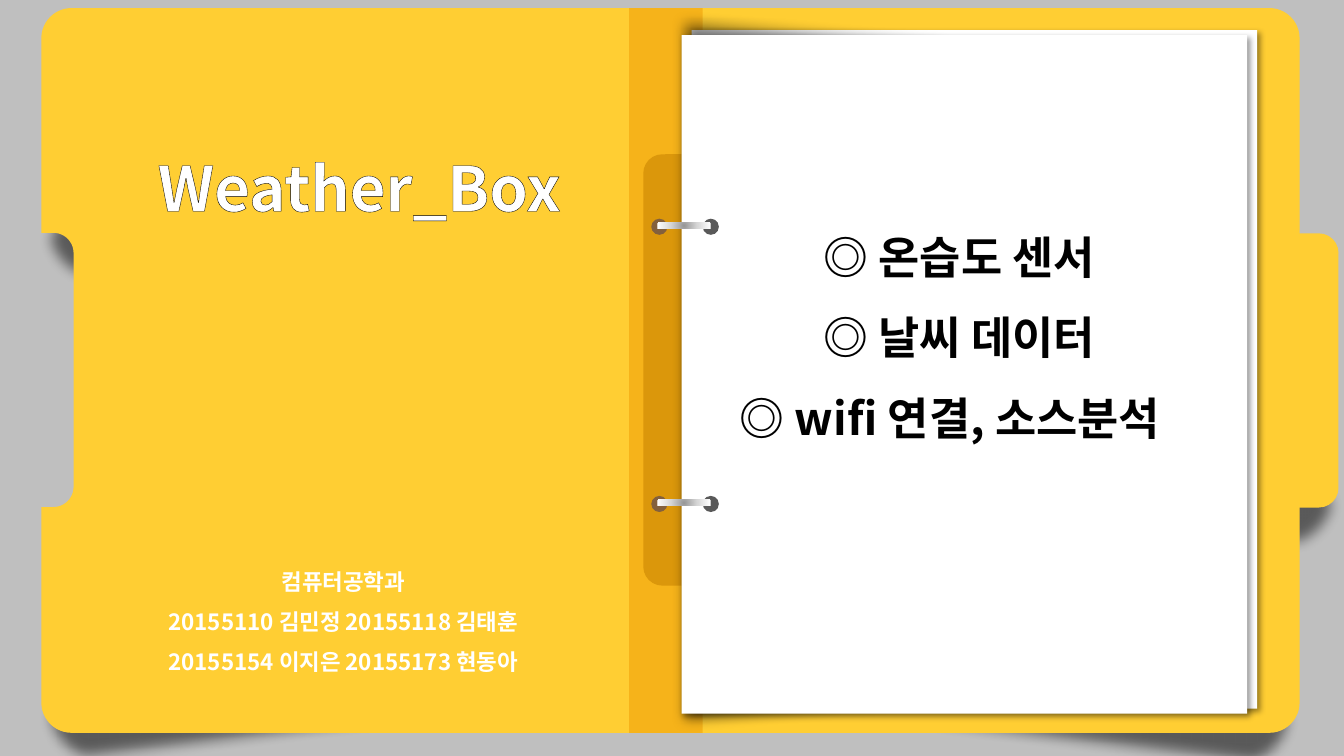
"""Build the Weather_Box folder slide."""
import math
from lxml import etree
from pptx import Presentation
from pptx import util as u
from pptx.dml.color import RGBColor
from pptx.enum import shapes, text
from pptx.oxml import parse_xml
from pptx.oxml.ns import qn

PX = 9144
NS = 'xmlns:a="http://schemas.openxmlformats.org/drawingml/2006/main"'
FONT = "Noto Sans CJK KR"
WHITE = RGBColor(0xFF, 0xFF, 0xFF)
BLACK = RGBColor(0, 0, 0)
GREY = RGBColor(0xBF, 0xBF, 0xBF)
YELLOW = RGBColor(0xFF, 0xCE, 0x33)
SPINE = RGBColor(0xF6, 0xB3, 0x1A)
CLIP = RGBColor(0xDB, 0x97, 0x0B)
HOLE = RGBColor(0x59, 0x59, 0x59)
BROWN = RGBColor(0x83, 0x60, 0x3D)
STEEL = [RGBColor(0x97, 0x97, 0x97), RGBColor(0xD7, 0xD7, 0xD7), WHITE]
KIND = shapes.MSO_SHAPE

prs = Presentation()
prs.slide_width, prs.slide_height = 1333 * PX, 750 * PX
slide = prs.slides.add_slide(prs.slide_layouts[6])
slide.background.fill.solid()
slide.background.fill.fore_color.rgb = GREY


def draw(kind, box, color, turn=0, adj=(), soft=False):
    item = slide.shapes.add_shape(kind, *[v * PX for v in box])
    item.shadow.inherit = False
    item.line.fill.background()
    item.fill.solid()
    item.fill.fore_color.rgb = color
    item.rotation = turn
    for i, val in enumerate(adj):
        item.adjustments[i] = val
    if soft:
        tint = item.fill._xPr.find(qn("a:solidFill"))[0]
        etree.SubElement(tint, qn("a:alpha"), val="53000")
        glow = item.fill._xPr.find(qn("a:effectLst"))
        etree.SubElement(glow, qn("a:softEdge"), rad=str(u.Pt(10)))
    return item


def write(box, lines, size, color):
    frame = slide.shapes.add_textbox(*[v * PX for v in box]).text_frame
    frame.word_wrap = True
    for i, line in enumerate(lines):
        para = frame.paragraphs[0] if i == 0 else frame.add_paragraph()
        para.alignment = text.PP_ALIGN.CENTER
        para.line_spacing = 1.5
        run = para.add_run()
        run.text = line
        run.font.size = u.Pt(size)
        run.font.bold = True
        run.font.color.rgb = color
        run.font.name = FONT
        etree.SubElement(run.font._element, qn("a:ea"), typeface=FONT)
    return frame


for box, turn, adj in [
    ((1215, 449, 121, 101), 15.3, 0.5),
    ((35, 186, 121, 101), 353.1, 0.5),
    ((887, 649, 404, 101), 6.9, 0.457),
    ((36, 644, 404, 101), 353.1, 0.457),
]:
    draw(KIND.ROUNDED_RECTANGLE, box, BLACK, turn, [adj], True)

edge = []
for x, y, rad, start, sweep in [
    (1259, 38, 30, -90, 90),
    (1259, 697, 30, 0, 90),
    (71, 697, 30, 90, 90),
    (41, 503, 0, 0, 0),
    (53, 483, 20, 90, -90),
    (53, 251, 20, 0, -90),
    (41, 231, 0, 0, 0),
    (71, 38, 30, 180, 90),
]:
    for step in range(13 if rad else 1):
        ang = math.radians(start + sweep * step / 12)
        edge.append(((x + rad * math.cos(ang)) * PX, (y + rad * math.sin(ang)) * PX))
path = slide.shapes.build_freeform(*edge[0], scale=1.0)
path.add_line_segments(edge[1:], close=True)
folder = path.convert_to_shape()
folder.shadow.inherit = False
folder.line.fill.background()
folder.fill.solid()
folder.fill.fore_color.rgb = YELLOW

TAB = KIND.ROUND_2_SAME_RECTANGLE
draw(TAB, (1172, 348, 272, 39), YELLOW, 90, [0.5, 0])
draw(KIND.RECTANGLE, (624, 8, 73, 719), SPINE)
draw(TAB, (443, 348, 428, 38), CLIP, 270, [0.5, 0])

for left, top in [(686, 30), (676, 35)]:
    if left == 676:
        draw(KIND.TRAPEZOID, (446, 228, 719, 280), BLACK, 90, [0.083], True)
    sheet = draw(KIND.RECTANGLE, (left, top, 561, 673), WHITE)
    sheet.fill._xPr.find(qn("a:effectLst")).append(parse_xml(
        f'<a:outerShdw {NS} blurRad="{u.Pt(4)}" dist="{u.Pt(3)}" dir="2700000" '
        'algn="tl" rotWithShape="0"><a:srgbClr val="000000">'
        '<a:alpha val="40000"/></a:srgbClr></a:outerShdw>'))

stops = "".join(
    f'<a:gs pos="{i * 50000}"><a:srgbClr val="{tone}"/></a:gs>'
    for i, tone in enumerate(STEEL))
for top in (217, 492):
    draw(KIND.OVAL, (697, top, 16, 16), HOLE)
    draw(KIND.OVAL, (646, top, 16, 16), BROWN)
    ring = draw(KIND.RECTANGLE, (652, top + 4, 53, 6), WHITE)
    props = ring.fill._xPr
    props.replace(props.find(qn("a:solidFill")), parse_xml(
        f'<a:gradFill {NS} rotWithShape="1"><a:gsLst>{stops}</a:gsLst>'
        '<a:path path="circle"><a:fillToRect l="50000" t="50000" '
        'r="50000" b="50000"/></a:path></a:gradFill>'))

title = write((136, 107, 441, 107), ["Weather_Box"], 44, WHITE)
title.paragraphs[0].runs[0].font._element.insert(0, parse_xml(
    f'<a:ln {NS} w="9525"><a:solidFill><a:srgbClr val="000000"/>'
    '</a:solidFill></a:ln>'))
write((39, 545, 603, 180), [
    "컴퓨터공학과",
    "20155110 김민정 20155118 김태훈",
    "20155154 이지은 20155173 현동아",
], 16, WHITE)
topics = write((684, 196, 535, 252), [
    "◎ 온습도 센서", "◎ 날씨 데이터", "◎ wifi 연결, 소스분석",
], 32, BLACK)
last = topics.paragraphs[2]
last.alignment = text.PP_ALIGN.LEFT
last._p.get_or_add_pPr().set("marL", str(40 * PX))

prs.save("out.pptx")
